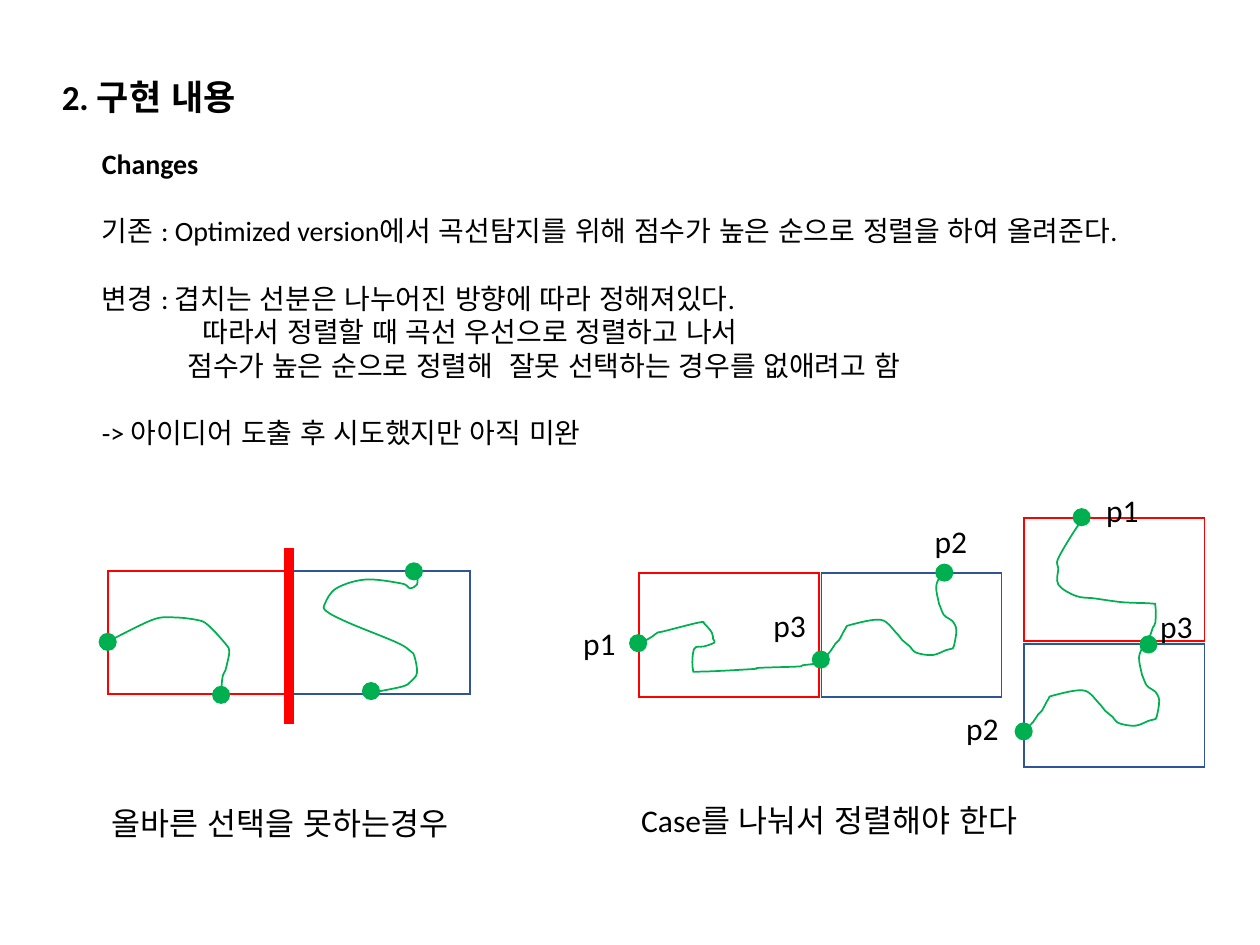
import lxml.etree
import pptx
import pptx.dml.color
import pptx.enum.lang
import pptx.enum.shapes
import pptx.enum.text
import pptx.oxml.ns
import pptx.util

Inches = pptx.util.Inches
Pt = pptx.util.Pt
qn = pptx.oxml.ns.qn
SHAPES = pptx.enum.shapes.MSO_SHAPE

COLORS = {"text": "000000", "red": "FF0000", "blue": "2F5597", "green": "00B050"}
PANEL_W, PANEL_H = 1.43, 0.98
DOT = 0.13

# (text, bold, space before in points, left indent in inches)
BODY = [
    ("Changes", True, 0, 0),
    ("기존 : Optimized version에서 곡선탐지를 위해 점수가 높은 순으로 정렬을 하여 올려준다.", False, 19.4, 0),
    ("변경 : 겹치는 선분은 나누어진 방향에 따라 정해져있다.", False, 19.4, 0),
    ("따라서 정렬할 때 곡선 우선으로 정렬하고 나서", False, 0, 0.8),
    ("점수가 높은 순으로 정렬해  잘못 선택하는 경우를 없애려고 함", False, 0, 0.68),
    ("-> 아이디어 도출 후 시도했지만 아직 미완", False, 19.4, 0),
]

PANELS = [
    (0.86, 4.53, "red"), (2.3, 4.53, "blue"),
    (5.07, 4.55, "red"), (6.52, 4.55, "blue"),
    (8.13, 4.11, "red"), (8.13, 5.11, "blue"),
]

DOTS = [
    (0.79, 5.03), (1.69, 5.45), (2.88, 5.42), (3.22, 4.47),
    (5, 5.04), (6.45, 5.17), (7.43, 4.48),
    (8.52, 4.04), (9.05, 5.05), (8.06, 5.74),
]

LABELS = [
    ("p1", 4.53, 4.9), ("p3", 6.04, 4.76), ("p2", 7.32, 4.09),
    ("p1", 8.68, 3.85), ("p3", 9.11, 4.77), ("p2", 7.57, 5.58),
]

# Curves as the points they pass through
ARCH = [(0.88, 5.08), (1.21, 4.92), (1.37, 4.9), (1.56, 4.92), (1.65, 4.96),
        (1.79, 5.11), (1.82, 5.17), (1.8, 5.28), (1.79, 5.32), (1.77, 5.36),
        (1.76, 5.43), (1.76, 5.5), (1.77, 5.49)]
S_CURVE = [(2.94, 5.5), (3.19, 5.45), (3.26, 5.41), (3.31, 5.34), (3.29, 5.21),
           (3.26, 5.17), (3.15, 5.1), (2.76, 4.94), (2.59, 4.85), (2.58, 4.79),
           (2.67, 4.67), (2.9, 4.6), (3.18, 4.63), (3.24, 4.66), (3.26, 4.67),
           (3.31, 4.64), (3.31, 4.57), (3.3, 4.57)]
HOOK = [(5.08, 5.11), (5.13, 5.08), (5.18, 5.05), (5.22, 5.02), (5.27, 5.01),
        (5.55, 4.94), (5.59, 4.95), (5.65, 5.02), (5.66, 5.07), (5.67, 5.1),
        (5.59, 5.13), (5.51, 5.15), (5.5, 5.31), (5.56, 5.33), (5.97, 5.31),
        (6.03, 5.3), (6.33, 5.29), (6.37, 5.28), (6.45, 5.27), (6.48, 5.26)]
DROP = [(8.6, 4.14), (8.55, 4.18), (8.4, 4.43), (8.4, 4.51), (8.4, 4.64),
        (8.54, 4.73), (8.69, 4.75), (8.91, 4.78), (9.14, 4.79), (9.17, 4.81),
        (9.17, 4.94), (9.15, 4.98), (9.13, 5.04), (9.1, 5.08)]
WAVE = [(7.5, 4.56), (7.46, 4.58), (7.43, 4.66), (7.45, 4.78), (7.46, 4.81),
        (7.49, 4.88), (7.53, 4.91), (7.56, 4.93), (7.59, 5), (7.57, 5.13),
        (7.55, 5.15), (7.51, 5.16), (7.4, 5.2), (7.27, 5.18), (7.22, 5.13),
        (7.16, 5.08), (7.11, 5.02), (6.99, 4.92), (6.75, 4.96), (6.71, 4.99),
        (6.66, 5.08), (6.63, 5.11), (6.59, 5.17), (6.54, 5.22)]
WAVE_SHIFT = (1.61, 0.56)


def rgb(name):
    return pptx.dml.color.RGBColor.from_string(COLORS[name])


def write(paragraph, text, size=18, bold=False, before=0, indent=0):
    paragraph.alignment = pptx.enum.text.PP_ALIGN.LEFT
    paragraph.space_before = Pt(before)
    if indent:
        paragraph._p.get_or_add_pPr().set("marL", str(Inches(indent)))
    run = paragraph.add_run()
    run.text = text
    run.font.name = "Calibri"
    run.font.size = Pt(size)
    run.font.bold = bold
    run.font.color.rgb = rgb("text")
    run.font.language_id = pptx.enum.lang.MSO_LANGUAGE_ID.KOREAN


def text_frame(slide, left, top, width, height):
    box = slide.shapes.add_textbox(Inches(left), Inches(top), Inches(width), Inches(height))
    box.text_frame.word_wrap = True
    return box.text_frame


def style(shape, line, fill=None):
    shape.shadow.inherit = False
    shape.line.color.rgb = rgb(line)
    shape.line.width = Pt(1)
    outline = shape.line._get_or_add_ln()
    lxml.etree.SubElement(outline, qn("a:miter")).set("lim", "800000")
    if fill:
        shape.fill.solid()
        shape.fill.fore_color.rgb = rgb(fill)
    else:
        shape.fill.background()


def add_shape(slide, kind, left, top, width, height, line, fill=None):
    shape = slide.shapes.add_shape(
        kind, Inches(left), Inches(top), Inches(width), Inches(height))
    style(shape, line, fill)


def bend(shape):
    """Turn the straight segments of a freeform into smooth Bezier ones."""
    segments = list(shape._element.iter(qn("a:lnTo")))
    corners = [*shape._element.iter(qn("a:moveTo")), *segments]
    points = [(int(c[0].get("x")), int(c[0].get("y"))) for c in corners]
    padded = [points[0], *points, points[-1]]
    for segment, a, b, c, d in zip(segments, padded, padded[1:], padded[2:], padded[3:]):
        controls = (
            [q + (r - p) / 6 for p, q, r in zip(a, b, c)],
            [r - (s - q) / 6 for q, r, s in zip(b, c, d)],
        )
        segment.tag = qn("a:cubicBezTo")
        for place, (x, y) in enumerate(controls):
            point = lxml.etree.Element(qn("a:pt"), x=str(round(x)), y=str(round(y)))
            segment.insert(place, point)


def add_curve(slide, points):
    start, *rest = [(Inches(x), Inches(y)) for x, y in points]
    builder = slide.shapes.build_freeform(*start)
    builder.add_line_segments(rest, close=False)
    curve = builder.convert_to_shape()
    style(curve, "green")
    bend(curve)


def add_title(slide, text):
    title = slide.shapes.title
    title.left, title.top = Inches(0.39), Inches(0.55)
    title.width, title.height = Inches(7.16), Inches(0.44)
    frame = title.text_frame
    frame.auto_size = pptx.enum.text.MSO_AUTO_SIZE.NONE
    frame.vertical_anchor = pptx.enum.text.MSO_ANCHOR.TOP
    write(frame.paragraphs[0], text, size=20, bold=True)


def add_body(slide):
    frame = text_frame(slide, 0.71, 1.11, 9.03, 2.52)
    for number, (text, bold, before, indent) in enumerate(BODY):
        paragraph = frame.add_paragraph() if number else frame.paragraphs[0]
        write(paragraph, text, size=16, bold=bold, before=before, indent=indent)


def main():
    deck = pptx.Presentation()
    deck.slide_width, deck.slide_height = Inches(10), Inches(7.5)
    slide = deck.slides.add_slide(deck.slide_layouts[5])

    add_title(slide, "2. 구현 내용")
    add_body(slide)

    # Diagrams
    for left, top, color in PANELS:
        add_shape(slide, SHAPES.RECTANGLE, left, top, PANEL_W, PANEL_H, color)
    for left, top in DOTS:
        add_shape(slide, SHAPES.OVAL, left, top, DOT, DOT, "green", "green")
    dx, dy = WAVE_SHIFT
    lower_wave = [(x + dx, y + dy) for x, y in WAVE]
    for curve in (ARCH, S_CURVE, HOOK, WAVE, DROP, lower_wave):
        add_curve(slide, curve)

    # Divider between the two left panels
    add_shape(slide, SHAPES.RECTANGLE, 2.26, 4.36, 0.07, 1.38, "red", "red")

    # Point labels and captions
    for text, left, top in LABELS:
        write(text_frame(slide, left, top, 0.62, 0.4).paragraphs[0], text)
    for text, left, top in (("올바른 선택을 못하는경우", 0.79, 6.33),
                            ("Case를 나눠서 정렬해야 한다", 4.99, 6.31)):
        write(text_frame(slide, left, top, 3.52, 0.4).paragraphs[0], text)

    deck.save("out.pptx")


if __name__ == "__main__":
    main()
